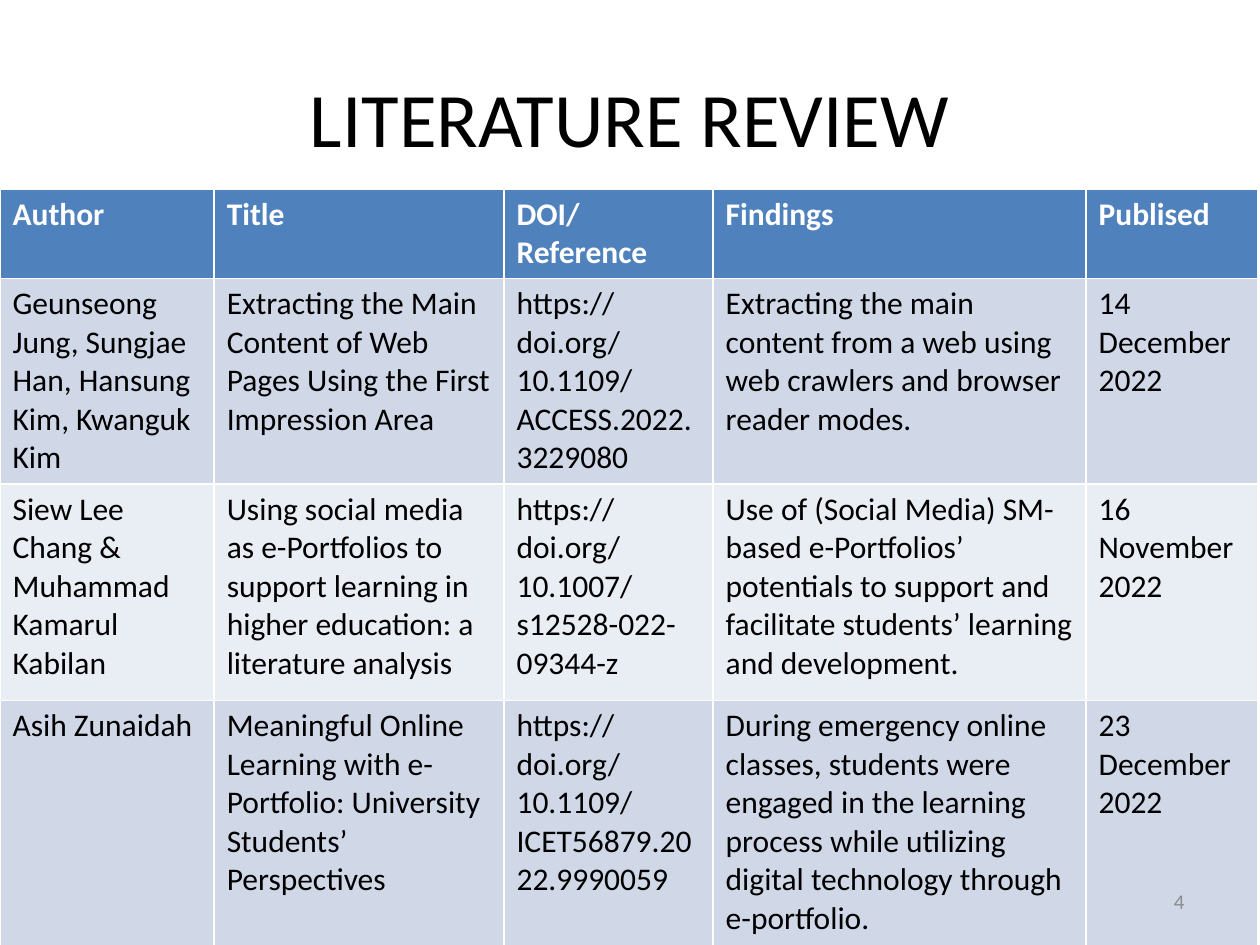
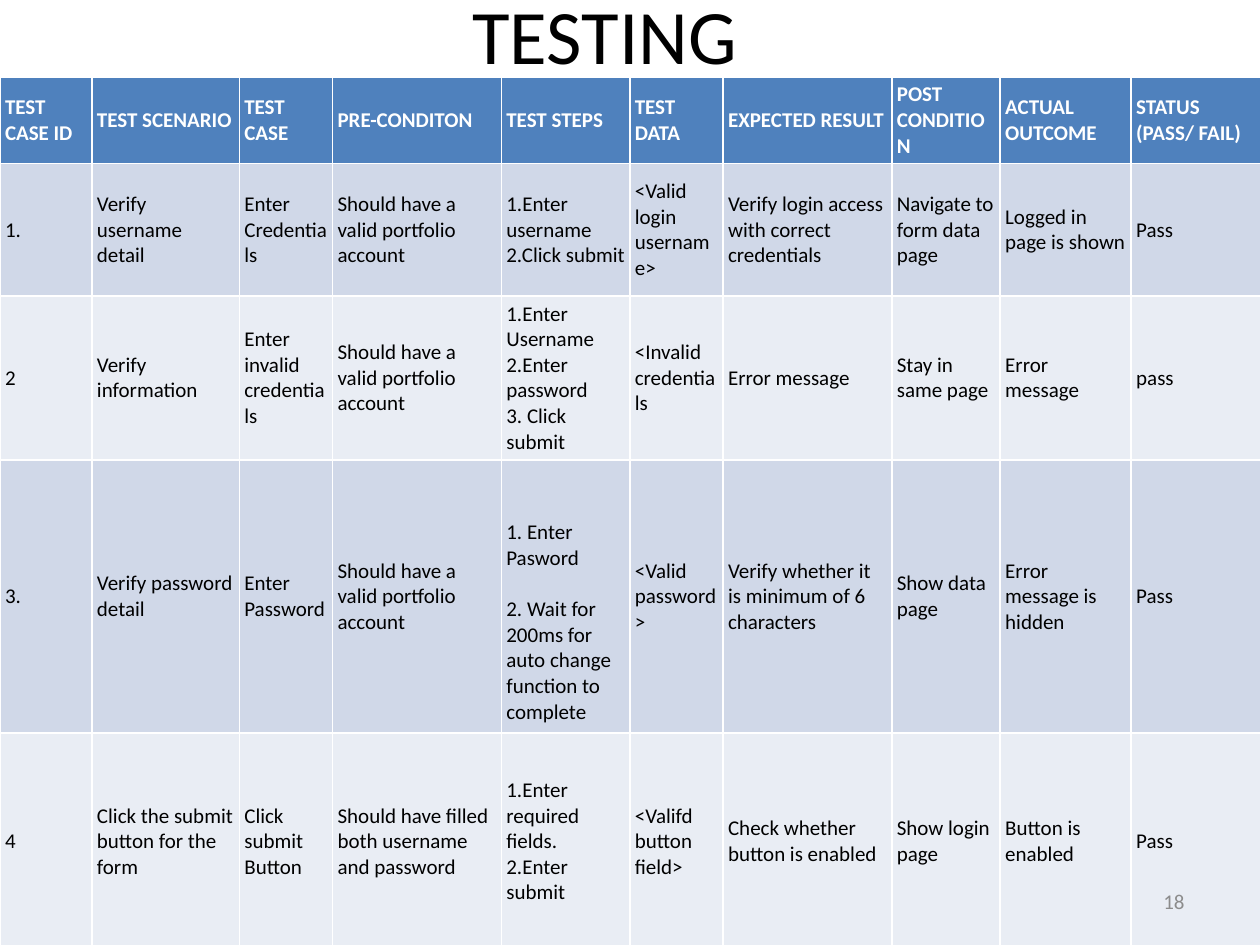
"""Build the literature review and testing slides."""
from pptx import Presentation
from pptx.dml.color import RGBColor
from pptx.enum.text import MSO_ANCHOR, PP_ALIGN
from pptx.util import Inches, Pt

FONT = "Calibri"
BLACK, WHITE, GREY = "000000", "FFFFFF", "8C8C8C"
HEADER_FILL = "4F81BD"
BAND_FILLS = ["D0D8E8", "E9EDF4"]

REVIEW_COLUMNS = [1.7, 2.3, 1.66, 2.96, 1.36]
REVIEW_HEIGHTS = [0.7, 1.63, 1.72, 1.95]
REVIEW_ROWS = [
    ["Author", "Title", "DOI/ Reference", "Findings", "Publised"],
    ["Geunseong Jung, Sungjae Han, Hansung Kim, Kwanguk Kim",
     "Extracting the Main Content of Web Pages Using the First Impression Area",
     "https://doi.org/10.1109/ACCESS.2022.3229080",
     "Extracting the main content from a web using web crawlers and browser reader modes.",
     "14 December 2022"],
    ["Siew Lee Chang & Muhammad Kamarul Kabilan",
     "Using social media as e-Portfolios to support learning in higher education: "
     "a literature analysis",
     "https://doi.org/10.1007/s12528-022-09344-z",
     "Use of (Social Media) SM-based e-Portfolios’ potentials to support and "
     "facilitate students’ learning and development.",
     "16 November 2022"],
    ["Asih Zunaidah",
     "Meaningful Online Learning with e-Portfolio: University Students’ Perspectives",
     "https://doi.org/10.1109/ICET56879.2022.9990059",
     "During emergency online classes, students were engaged in the learning process "
     "while utilizing digital technology through e-portfolio.",
     "23 December 2022"],
]

TEST_COLUMNS = [0.73, 1.17, 0.74, 1.34, 1.02, 0.74, 1.34, 0.86, 1.04, 1.04]
TEST_HEIGHTS = [0.69, 1.05, 1.3, 2.17, 1.72]
VALID_ACCOUNT = "Should have a valid portfolio account"
TEST_ROWS = [
    ["TEST CASE ID", "TEST SCENARIO", "TEST CASE", "PRE-CONDITON", "TEST STEPS",
     "TEST DATA", "EXPECTED RESULT", "POST CONDITION", "ACTUAL OUTCOME",
     "STATUS (PASS/ FAIL)"],
    ["1.", "Verify username detail", "Enter Credentials", VALID_ACCOUNT,
     "1.Enter username\n2.Click submit", "<Valid login username>",
     "Verify login access with correct credentials", "Navigate to form data page",
     "Logged in page is shown", "Pass"],
    ["2", "Verify information", "Enter invalid credentials", VALID_ACCOUNT,
     "1.Enter Username\n2.Enter password\n3. Click submit", "<Invalid credentials",
     "Error message", "Stay in same page", "Error message", "pass"],
    ["3.", "Verify password detail", "Enter Password", VALID_ACCOUNT,
     "1. Enter Pasword\n2. Wait for 200ms for auto change function to complete",
     "<Valid password>", "Verify whether it is minimum of 6 characters",
     "Show data page", "Error message is hidden", "Pass"],
    ["4", "Click the submit button for the form", "Click submit Button",
     "Should have filled both username and password",
     "1.Enter required fields.\n2.Enter submit", "<Valifd button field>",
     "Check whether button is enabled", "Show login page", "Button is enabled", "Pass"],
]


def color(value):
    """Turn a hex string into a colour."""
    return RGBColor.from_string(value)


def format_text(frame, size, hex_color, bold=False, align=None):
    """Apply one text style to every run of a text frame."""
    for para in frame.paragraphs:
        para.alignment = align
        for span in para.runs:
            span.font.name = FONT
            span.font.size = Pt(size)
            span.font.bold = bold
            span.font.color.rgb = color(hex_color)


def add_page(deck, title, left, top, number):
    """Add a slide with its title placed."""
    page = deck.slides.add_slide(deck.slide_layouts[5])
    box = page.shapes.title
    box.left, box.top, box.width, box.height = map(Inches, (left, top, 9, 1.25))
    box.text_frame.text = title
    box.text_frame.vertical_anchor = MSO_ANCHOR.MIDDLE
    format_text(box.text_frame, 44, BLACK, align=PP_ALIGN.CENTER)
    return page


def add_page_number(page, number):
    """Add the grey page number at the lower right."""
    box = page.shapes.add_textbox(Inches(7.17), Inches(6.95), Inches(2.33), Inches(0.4))
    frame = box.text_frame
    frame.word_wrap = True
    frame.vertical_anchor = MSO_ANCHOR.MIDDLE
    frame.text = str(number)
    format_text(frame, 12, GREY, align=PP_ALIGN.RIGHT)


def add_banded_table(page, top, columns, heights, rows, size, inset=None):
    """Add a full-width table with a header and banded rows."""
    frame = page.shapes.add_table(len(rows), len(columns), 0, Inches(top),
                                  Inches(sum(columns)), Inches(sum(heights)))
    table = frame.table
    for column, width in zip(table.columns, columns):
        column.width = Inches(width)
    for index, (row, height, texts) in enumerate(zip(table.rows, heights, rows)):
        row.height = Inches(height)
        is_header = index == 0
        for cell, text in zip(row.cells, texts):
            cell.text_frame.text = text
            cell.fill.solid()
            cell.fill.fore_color.rgb = color(
                HEADER_FILL if is_header else BAND_FILLS[(index - 1) % 2])
            format_text(cell.text_frame, size, WHITE if is_header else BLACK, is_header)
            if inset is not None:
                cell.vertical_anchor = MSO_ANCHOR.MIDDLE
                cell.margin_left = cell.margin_right = Inches(inset)
                cell.margin_top = cell.margin_bottom = Inches(inset)
    return table


def main():
    """Build both slides and save the deck."""
    deck = Presentation()
    deck.slide_width, deck.slide_height = Inches(10), Inches(7.5)

    review = add_page(deck, "LITERATURE REVIEW", 0.5, 0.3, 4)
    add_banded_table(review, 1.5, REVIEW_COLUMNS, REVIEW_HEIGHTS, REVIEW_ROWS, 18)
    add_page_number(review, 4)

    testing = add_page(deck, "TESTING", 0.3, -0.36, 18)
    table = add_banded_table(testing, 0.61, TEST_COLUMNS, TEST_HEIGHTS, TEST_ROWS, 12, 0.04)
    password_steps = table.cell(3, 4)
    password_steps.margin_top = Inches(0.45)
    password_steps.text_frame.paragraphs[0].space_after = Pt(14.6)
    add_page_number(testing, 18)

    deck.save("out.pptx")


if __name__ == "__main__":
    main()
